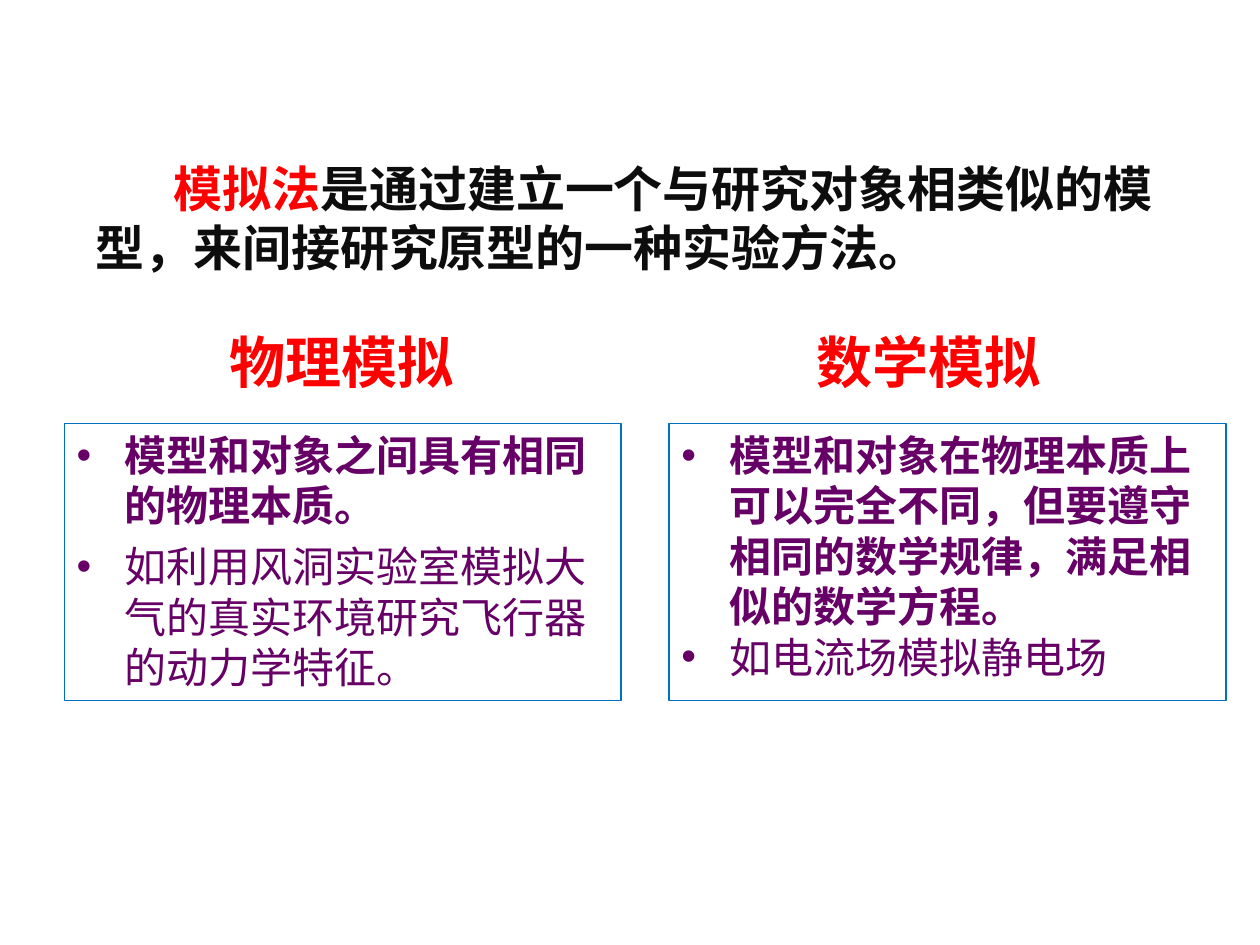
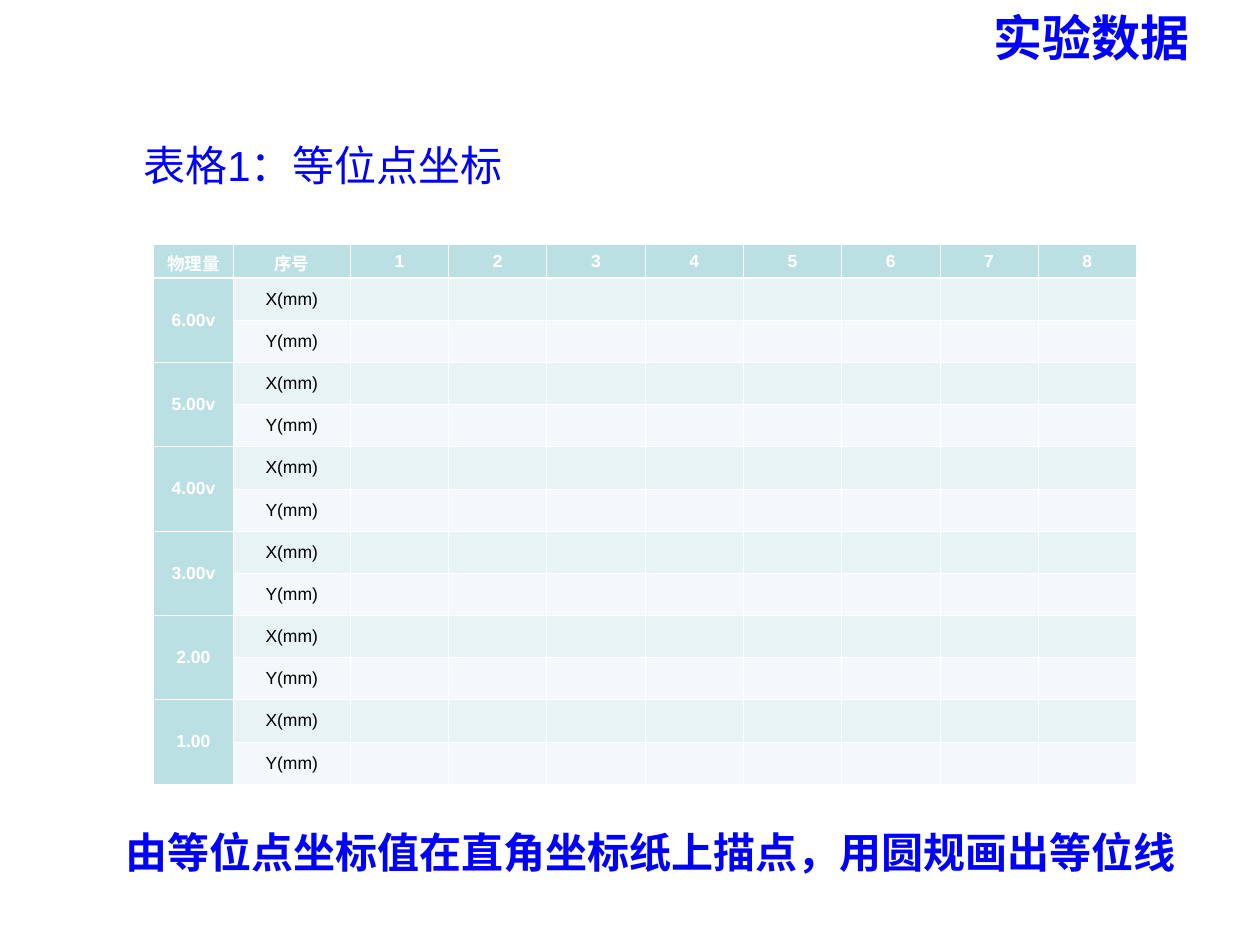
import pptx
import pptx.util
import pptx.dml.color
import pptx.enum.shapes
import pptx.enum.text
import pptx.oxml.ns
from lxml import etree

Inches = pptx.util.Inches
Pt = pptx.util.Pt
RGBColor = pptx.dml.color.RGBColor
ALIGN = pptx.enum.text.PP_ALIGN
ANCHOR = pptx.enum.text.MSO_ANCHOR

FONT = "Arial"
RED = RGBColor(0xFF, 0x00, 0x00)
INK = RGBColor(0x0D, 0x0D, 0x0D)
PURPLE = RGBColor(0x66, 0x00, 0x66)
FRAME_BLUE = RGBColor(0x00, 0x70, 0xC0)
BLUE = RGBColor(0x00, 0x00, 0xFF)
WHITE = RGBColor(0xFF, 0xFF, 0xFF)
BLACK = RGBColor(0x00, 0x00, 0x00)
TEAL = RGBColor(0xBB, 0xE0, 0xE3)
BANDS = (RGBColor(0xE7, 0xF3, 0xF4), RGBColor(0xF3, 0xF9, 0xFA))

VOLTAGES = ("6.00v", "5.00v", "4.00v", "3.00v", "2.00", "1.00")
AXES = ("X(mm)", "Y(mm)")
POINT_COUNT = 8


def style_font(font, size, color, bold=False):
    font.name = FONT
    font.size = Pt(size)
    font.bold = bold
    font.color.rgb = color


def add_element(parent, tag, **attributes):
    return etree.SubElement(parent, pptx.oxml.ns.qn(tag), attributes)


def add_text_box(page, left, top, width, height, anchor=ANCHOR.TOP):
    box = page.shapes.add_textbox(Inches(left), Inches(top), Inches(width), Inches(height))
    box.text_frame.word_wrap = True
    box.text_frame.vertical_anchor = anchor
    return box


def add_centred_line(page, text, place, size, color, bold=True, anchor=ANCHOR.TOP):
    para = add_text_box(page, *place, anchor).text_frame.paragraphs[0]
    para.text = text
    para.alignment = ALIGN.CENTER
    style_font(para.font, size, color, bold)


def add_definition(page, left, top, width, height):
    box = add_text_box(page, left, top, width, height, ANCHOR.MIDDLE)
    box.text_frame.margin_right = Inches(0.2)
    para = box.text_frame.paragraphs[0]
    para._p.get_or_add_pPr().set("indent", str(Inches(0.62)))
    for text, color in (
        ("模拟法", RED),
        ("是通过建立一个与研究对象相类似的模型，来间接研究原型的一种实验方法。", INK),
    ):
        span = para.add_run()
        span.text = text
        style_font(span.font, 28, color, True)


def set_bullet(para, indent):
    properties = para._p.get_or_add_pPr()
    properties.set("marL", str(Inches(indent)))
    properties.set("indent", str(-Inches(indent)))
    bullet_color = add_element(properties, "a:buClr")
    add_element(bullet_color, "a:srgbClr", val=str(PURPLE))
    add_element(properties, "a:buFont", typeface=FONT)
    add_element(properties, "a:buChar", char="•")


def add_method_box(page, left, top, width, height, principle, example, gap):
    """Framed box with a bold principle and a plain example below it."""
    box = page.shapes.add_shape(
        pptx.enum.shapes.MSO_SHAPE.RECTANGLE,
        Inches(left), Inches(top), Inches(width), Inches(height))
    box.shadow.inherit = False
    box.fill.background()
    box.line.color.rgb = FRAME_BLUE
    box.line.width = Pt(0.75)
    frame = box.text_frame
    frame.word_wrap = True
    frame.vertical_anchor = ANCHOR.TOP
    for para, text, bold in (
        (frame.paragraphs[0], principle, True),
        (frame.add_paragraph(), example, False),
    ):
        para.text = text
        para.alignment = ALIGN.LEFT
        if not bold:
            para.space_before = Pt(gap)
        set_bullet(para, 0.38)
        style_font(para.font, 24, PURPLE, bold)


def set_cell_borders(cell, top, bottom):
    properties = cell._tc.get_or_add_tcPr()
    for side, width in (("L", 0.45), ("R", 0.45), ("T", top), ("B", bottom)):
        line = add_element(properties, f"a:ln{side}", w=str(Pt(width)))
        fill = add_element(line, "a:solidFill")
        add_element(fill, "a:srgbClr", val=str(WHITE))


def fill_cell(cell, text, fill, color, bold, top=0.45, bottom=0.45):
    cell.margin_left = cell.margin_right = Inches(0.07)
    cell.margin_top = cell.margin_bottom = Inches(0.05)
    cell.vertical_anchor = ANCHOR.MIDDLE
    set_cell_borders(cell, top, bottom)
    cell.fill.solid()
    cell.fill.fore_color.rgb = fill
    para = cell.text_frame.paragraphs[0]
    para.text = text
    para.alignment = ALIGN.CENTER
    style_font(para.font, 10, color, bold)
    if not text:
        add_element(para._p, "a:endParaRPr", sz="1000")


def add_coordinate_table(page, left, top):
    widths = [0.63, 0.93] + [0.78] * POINT_COUNT
    heights = [0.26] + [0.335] * (len(VOLTAGES) * len(AXES))
    table = page.shapes.add_table(
        len(heights), len(widths), Inches(left), Inches(top),
        Inches(sum(widths)), Inches(sum(heights))).table
    for column, width in zip(table.columns, widths):
        column.width = Inches(width)
    for row, height in zip(table.rows, heights):
        row.height = Inches(height)

    header = ["物理量", "序号"] + [str(n + 1) for n in range(POINT_COUNT)]
    for column, text in enumerate(header):
        fill_cell(table.cell(0, column), text, TEAL, WHITE, True, bottom=1.47)
    for row in range(1, len(heights)):
        group, axis = divmod(row - 1, len(AXES))
        top_line = 1.47 if row == 1 else 0.45
        voltage = "" if axis else VOLTAGES[group]
        fill_cell(table.cell(row, 0), voltage, TEAL, WHITE, True, top_line)
        for column in range(1, len(widths)):
            text = AXES[axis] if column == 1 else ""
            fill_cell(table.cell(row, column), text, BANDS[axis], BLACK, False, top_line)
        if axis:
            table.cell(row - 1, 0).merge(table.cell(row, 0))


def build_method_slide(page):
    add_definition(page, 0.66, 1.18, 9, 1.09)
    methods = (
        (0.5, 0.51, "物理模拟", "模型和对象之间具有相同的物理本质。",
         "如利用风洞实验室模拟大气的真实环境研究飞行器的动力学特征。", 6),
        (5.16, 5.31, "数学模拟",
         "模型和对象在物理本质上可以完全不同，但要遵守相同的数学规律，满足相似的数学方程。",
         "如电流场模拟静电场", 0),
    )
    for heading_left, box_left, heading, principle, example, gap in methods:
        add_centred_line(page, heading, (heading_left, 2.48, 4.42, 0.7), 32, RED,
                         anchor=ANCHOR.BOTTOM)
        add_method_box(page, box_left, 3.36, 4.42, 2.2, principle, example, gap)


def build_data_slide(page):
    add_centred_line(page, "实验数据", (7.68, 0.01, 1.97, 0.57), 28, BLUE)
    add_coordinate_table(page, 1.22, 1.94)
    add_centred_line(page, "表格1：等位点坐标", (0.83, 1.06, 3.47, 0.5), 24, BLUE, bold=False)
    add_centred_line(page, "由等位点坐标值在直角坐标纸上描点，用圆规画出等位线",
                     (0.83, 6.51, 8.66, 0.5), 24, BLUE)


def main():
    deck = pptx.Presentation()
    deck.slide_width = Inches(10)
    deck.slide_height = Inches(7.5)
    for build in (build_method_slide, build_data_slide):
        build(deck.slides.add_slide(deck.slide_layouts[6]))
    deck.save("out.pptx")


if __name__ == "__main__":
    main()
